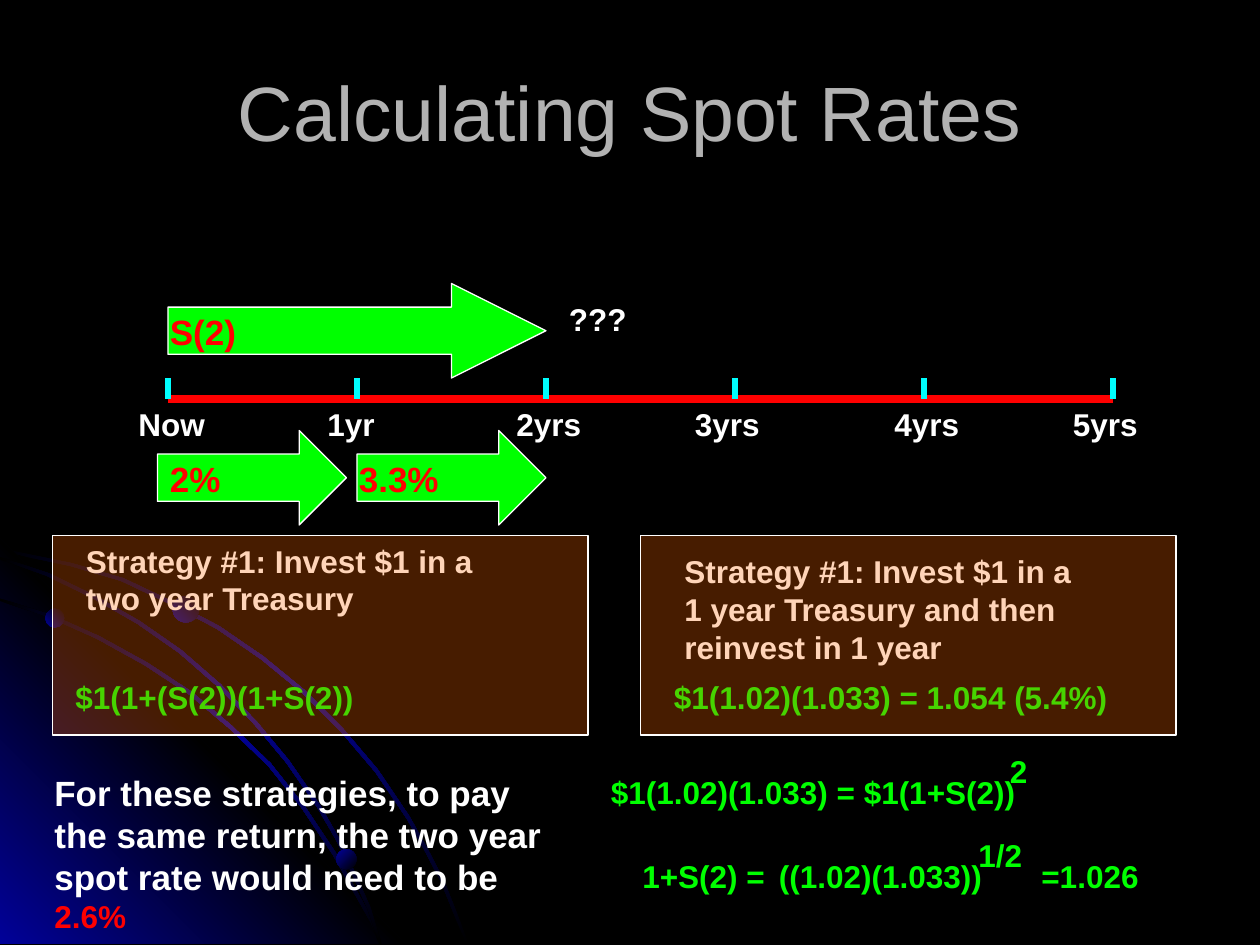
from lxml.etree import SubElement
from pptx import Presentation
from pptx.dml.color import RGBColor
from pptx.enum.shapes import MSO_CONNECTOR, MSO_SHAPE
from pptx.enum.text import MSO_ANCHOR, MSO_AUTO_SIZE, PP_ALIGN
from pptx.oxml.ns import qn
from pptx.util import Inches, Pt

COLORS = {
    "black": "000000", "blue": "010199", "grey": "B2B2B2", "white": "FFFFFF",
    "red": "FF0000", "cyan": "00FFFF", "green": "00FF00", "orange": "FF6600",
}

presentation = Presentation()
presentation.slide_width = Inches(10)
presentation.slide_height = Inches(7.5)
slide = presentation.slides.add_slide(presentation.slide_layouts[6])
slide.background.fill.solid()
slide.background.fill.fore_color.rgb = RGBColor.from_string(COLORS["black"])

# Grid of 120 columns and 90 rows
CELL = presentation.slide_width // 120


def add_text(text, column, row, columns, rows=4.8, size=18, color="white", bold=True,
             before=11.2, align=PP_ALIGN.LEFT, anchor=MSO_ANCHOR.TOP, wrap=True, grow=True):
    """Add a text box; text is a string or a list of (text, size, color, bold) runs."""
    box = slide.shapes.add_textbox(*(round(n * CELL) for n in (column, row, columns, rows)))
    frame = box.text_frame
    frame.word_wrap = wrap
    frame.auto_size = MSO_AUTO_SIZE.SHAPE_TO_FIT_TEXT if grow else MSO_AUTO_SIZE.NONE
    frame.vertical_anchor = anchor
    paragraph = frame.paragraphs[0]
    paragraph.alignment = align
    paragraph.space_before = Pt(before)
    runs = [(text, size, color, bold)] if isinstance(text, str) else text
    for run_text, run_size, run_color, run_bold in runs:
        run = paragraph.add_run()
        run.text = run_text
        run.font.name = "Arial"
        run.font.size = Pt(run_size)
        run.font.bold = run_bold
        run.font.color.rgb = RGBColor.from_string(COLORS[run_color])


def paint(shape, fill, line=None, angle=None, alpha=None):
    """Fill a shape with one color, or with a list of colors as a gradient."""
    shape.shadow.inherit = False
    if angle is None:
        shape.fill.solid()
        shape.fill.fore_color.rgb = RGBColor.from_string(COLORS[fill])
    else:
        shape.fill.gradient()
        shape.fill.gradient_angle = angle
        stops = shape.element.spPr.find(qn("a:gradFill")).find(qn("a:gsLst"))
        for stop in list(stops):
            stops.remove(stop)
        for index, name in enumerate(fill):
            position = 100000 * index // (len(fill) - 1)
            stop = SubElement(stops, qn("a:gs"), pos=str(position))
            SubElement(stop, qn("a:srgbClr"), val=COLORS[name])
    if alpha:
        color = shape.element.spPr.find(qn("a:solidFill"))[0]
        SubElement(color, qn("a:alpha"), val=str(alpha * 1000))
    if line:
        shape.line.color.rgb = RGBColor.from_string(COLORS[line])
        shape.line.width = Pt(0.75)
    else:
        shape.line.fill.background()


# Background: upper edges of the thin arcs, in hundredths of an inch
ARCS = [
    [(0, 435), (28, 441), (57, 447), (98, 459), (136, 477), (174, 497), (209, 521), (242, 548),
     (272, 578), (300, 611), (325, 648), (339, 673), (352, 698), (362, 723), (372, 749)],
    [(0, 475), (41, 488), (79, 505), (117, 526), (152, 549), (184, 576), (215, 606),
     (242, 640), (266, 676), (286, 712), (296, 730), (303, 749)],
    [(0, 442), (39, 455), (76, 473), (111, 493), (144, 516), (175, 543), (204, 573),
     (229, 603), (254, 639), (269, 665), (282, 693), (294, 720), (303, 749)],
]
arc_outlines = [
    arc + [(max(x - 2, 0), min(y + 2, 749)) for x, y in reversed(arc)] for arc in ARCS
]
corner = [(0, 427), (322, 749), (0, 749)]
streak = ["black", "blue", "black"]
glow = ["blue", "black", "blue"]
outlines = [(arc_outlines[0], streak, 135), (corner, glow, 225),
            (arc_outlines[1], streak, 135), (arc_outlines[2], streak, 135)]
for points, gradient, angle in outlines:
    builder = slide.shapes.build_freeform(*points[0], scale=Inches(0.01))
    builder.add_line_segments(points[1:], close=True)
    paint(builder.convert_to_shape(), gradient, angle=angle)

# Background: dots on the arcs
for x, y, size, angle in [(0.36, 4.83, 0.15, 225), (2.67, 6.74, 0.16, 135),
                          (1.37, 4.73, 0.21, 225)]:
    dot = slide.shapes.add_shape(MSO_SHAPE.OVAL, Inches(x), Inches(y), Inches(size), Inches(size))
    paint(dot, ["black", "blue"], angle=angle)

# Title
add_text("Calculating Spot Rates", 6, 3, 108, 15, size=44, color="grey", bold=False,
         before=0, align=PP_ALIGN.CENTER, anchor=MSO_ANCHOR.MIDDLE, grow=False)

# Timeline: axis and one tick a year
START, YEAR, AXIS = 16, 18, 38
timeline = [(START, START + 5 * YEAR, AXIS, "red", 4.5)]
timeline += [(START + year * YEAR,) * 2 + (AXIS - 2, "cyan", 3) for year in range(6)]
for left, right, end_row, color, width in timeline:
    connector = slide.shapes.add_connector(
        MSO_CONNECTOR.STRAIGHT, left * CELL, AXIS * CELL, right * CELL, end_row * CELL)
    connector.line.color.rgb = RGBColor.from_string(COLORS[color])
    connector.line.width = Pt(width)
    SubElement(connector.element.spPr, qn("a:effectLst"))

# Timeline labels, with their distance left of the tick
labels = [("Now", 4, 10), ("1yr", 4, 8), ("2yrs", 4, 9),
          ("3yrs", 5, 9), ("4yrs", 4, 9), ("5yrs", 5, 9)]
for year, (label, offset, columns) in enumerate(labels):
    add_text(label, START + year * YEAR - offset, AXIS, columns)

# Rate arrows
for label, column, row, columns, head, text_column in [
        ("S(2)", 16, 27, 36, 1, 15), ("3.3%", 34, 41, 18, 0.5, 33), ("2%", 15, 41, 18, 0.5, 15)]:
    arrow = slide.shapes.add_shape(
        MSO_SHAPE.RIGHT_ARROW, column * CELL, row * CELL, columns * CELL, 9 * CELL)
    arrow.adjustments[0] = 0.5
    arrow.adjustments[1] = head
    paint(arrow, "green", line="white")
    add_text(label, text_column, row + 2, 12, 5.25, size=20, color="red", before=12.5)
add_text("???", 53, 28, 15)

# Strategies, under translucent panels
add_text("Strategy #1: Invest $1 in a two year Treasury", 7, 51, 41, 8.4)
add_text("$1(1+(S(2))(1+S(2))", 6, 64, 32, color="green")
add_text("Strategy #1: Invest $1 in a 1 year Treasury and then reinvest in 1 year", 64, 52, 41, 12)
add_text("$1(1.02)(1.033) = 1.054 (5.4%)", 63, 64, 54, color="green")
for column in (5, 61):
    panel = slide.shapes.add_shape(
        MSO_SHAPE.RECTANGLE, column * CELL, 51 * CELL, 51 * CELL, 19 * CELL)
    paint(panel, "orange", line="white", alpha=28)

# Conclusion
add_text([("For these strategies, to pay the same return, the two year spot rate would need to be",
           20, "white", True), (" ", 18, "white", False), ("2.6%", 18, "red", True)],
         4, 72.85, 49, 16.8)

# Equations, with raised exponents
add_text("$1(1.02)(1.033) = $1(1+S(2))", 57, 73, 40.9, color="green", before=0, wrap=False)
add_text("((1.02)(1.033))", 73, 81, 21.7, color="green", before=0, wrap=False)
for text, column, row, columns in [("1+S(2) =", 60, 81, 18), ("=1.026", 98, 81, 14),
                                   ("2", 95, 71, 5), ("1/2", 92, 79, 7)]:
    add_text(text, column, row, columns, color="green")

presentation.save("out.pptx")
